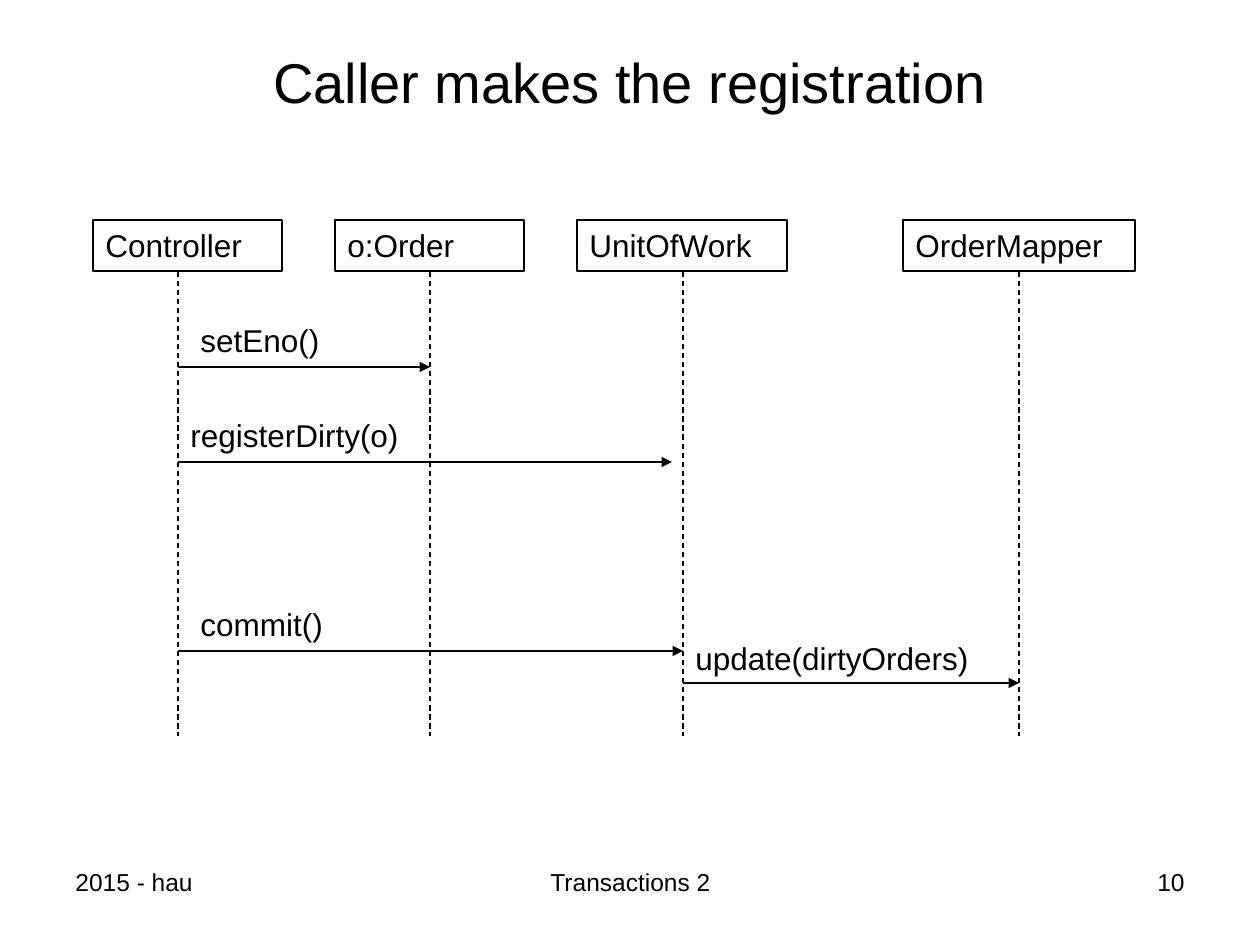
from lxml import etree
from pptx import Presentation
from pptx import util as u
from pptx.dml.color import RGBColor
from pptx.enum import dml, shapes, text
from pptx.oxml.ns import qn

SCALE = 914400 / 126  # EMU in one px
INK = "000000"
LEFT, MID, RIGHT = text.PP_ALIGN.LEFT, text.PP_ALIGN.CENTER, text.PP_ALIGN.RIGHT

TITLE = "Caller makes the registration"
# text, left, width, alignment
FOOTER = [
    ("2015 - hau", 63, 294, LEFT),
    ("Transactions 2", 431, 399, MID),
    ("10", 903, 294, RIGHT),
]
# name, box left, box width, lifeline x
ACTORS = [
    ("Controller", 93, 189, 178),
    ("o:Order", 335, 189, 430),
    ("UnitOfWork", 577, 210, 683),
    ("OrderMapper", 903, 232, 1019),
]
# label, label left, label top, label width, start x, end x, arrow y
CALLS = [
    ("setEno()", 188, 315, 169, 178, 430, 367),
    ("registerDirty(o)", 178, 410, 284, 178, 672, 462),
    ("commit()", 188, 599, 284, 178, 683, 651),
    ("update(dirtyOrders)", 683, 633, 336, 683, 1019, 683),
]
BOX_TOP, BOX_H = 220, 51
LIFE_TOP, LIFE_END = 272, 736


def px(n):
    return u.Emu(round(n * SCALE))


def color(code):
    return RGBColor.from_string(code)


def write(shape, words, size, align=LEFT, anchor=text.MSO_ANCHOR.TOP):
    frame = shape.text_frame
    frame.word_wrap = True
    frame.vertical_anchor = anchor
    para = frame.paragraphs[0]
    para.text = words
    para.alignment = align
    para.font.name = "Arial"
    para.font.size = u.Pt(size)
    para.font.color.rgb = color(INK)


def label(words, x, y, w, h, size, **style):
    box = slide.shapes.add_textbox(px(x), px(y), px(w), px(h))
    write(box, words, size, **style)


def line(x1, y1, x2, y2, dash=False, arrow=False):
    link = slide.shapes.add_connector(
        shapes.MSO_CONNECTOR.STRAIGHT, px(x1), px(y1), px(x2), px(y2))
    link.line.color.rgb = color(INK)
    link.line.width = u.Pt(0.75)
    if dash:
        link.line.dash_style = dml.MSO_LINE.DASH
    if arrow:
        etree.SubElement(link.line._get_or_add_ln(), qn("a:tailEnd"), type="triangle")
    etree.SubElement(link._element.spPr, qn("a:effectLst"))


deck = Presentation()
deck.slide_width, deck.slide_height = px(1260), px(945)
slide = deck.slides.add_slide(deck.slide_layouts[6])

# Title and footer
label(TITLE, 63, 38, 1134, 87, 32, align=MID, anchor=text.MSO_ANCHOR.MIDDLE)
for words, x, w, align in FOOTER:
    label(words, x, 861, w, 66, 14, align=align)

# Actors with their lifelines
for name, x, w, life in ACTORS:
    box = slide.shapes.add_shape(
        shapes.MSO_SHAPE.RECTANGLE, px(x), px(BOX_TOP), px(w), px(BOX_H))
    box.shadow.inherit = False
    box.fill.background()
    box.line.color.rgb = color(INK)
    box.line.width = u.Pt(0.75)
    write(box, name, 18)
    line(life, LIFE_TOP, life, LIFE_END, dash=True)

# Calls between lifelines
for words, x, y, w, start, end, level in CALLS:
    line(start, level, end, level, arrow=True)
    label(words, x, y, w, BOX_H, 18)

deck.save("out.pptx")
